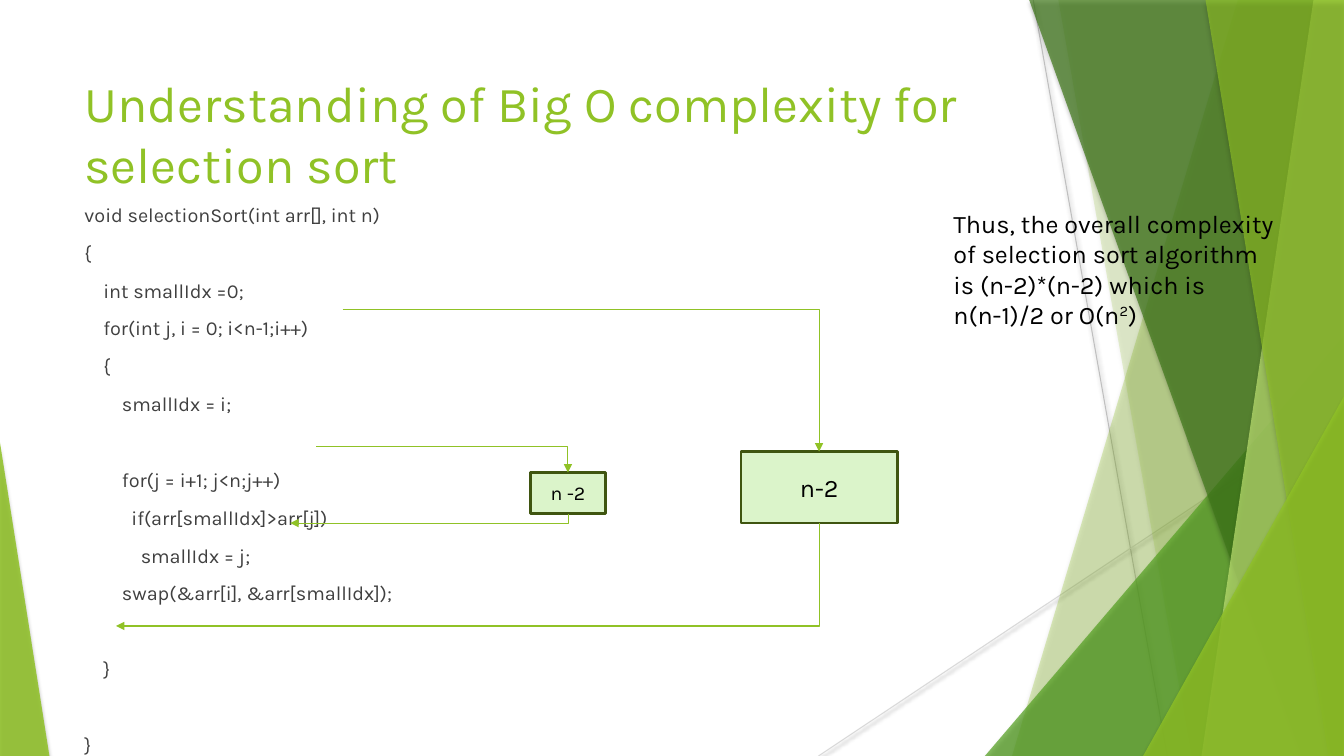
from lxml.etree import SubElement
from pptx import Presentation
from pptx.dml.color import RGBColor
from pptx.enum.shapes import MSO_CONNECTOR, MSO_SHAPE
from pptx.enum.text import MSO_ANCHOR, PP_ALIGN
from pptx.oxml.ns import qn
from pptx.util import Inches, Pt

COLORS = {k: RGBColor.from_string(v) for k, v in {
    "lime": "90C226", "green": "54A021", "forest": "3F7819", "pale": "C0E474",
    "box": "DBF4CA", "edge": "3F5510", "text": "404040", "black": "000000",
    "grey": "BFBFBF", "silver": "D9D9D9"}.items()}

prs = Presentation()
prs.slide_width, prs.slide_height = Inches(13.333), Inches(7.5)
COL, ROW = prs.slide_width / 100, prs.slide_height / 100
slide = prs.slides.add_slide(prs.slide_layouts[6])
shapes = slide.shapes


def grid(*lengths):
    """Turn alternating x, y percentages of the slide into EMU."""
    return [round(n * (ROW if i % 2 else COL)) for i, n in enumerate(lengths)]


def set_effect(sp, blur=0, dist=0, alpha=0):
    """Replace the theme shadow with a downward one, or with none."""
    effects = SubElement(sp._element.spPr, qn("a:effectLst"))
    if alpha:
        shadow = SubElement(effects, qn("a:outerShdw"), blurRad=str(Pt(blur)),
                            dist=str(Pt(dist)), dir="5400000", rotWithShape="0")
        color = SubElement(shadow, qn("a:srgbClr"), val="000000")
        SubElement(color, qn("a:alpha"), val=str(alpha * 1000))


# Background rays
for color, *ends in [("grey", 76.88, 0, 86.85, 100),
                     ("silver", 100, 53.73, 60.9, 100)]:
    ray = shapes.add_connector(MSO_CONNECTOR.STRAIGHT, *grid(*ends))
    ray.line.color.rgb = COLORS[color]
    ray.line.width = Pt(0.75)
    set_effect(ray, 3.1, 1.6, 38)

# Facets: colour, opacity, base left, base right, peak x, peak y
FACETS = [("lime", 30, 75.3, 100, 92.1, 0),
          ("lime", 20, 88.65, 100, 78.75, 0),
          ("green", 72, 73.28, 100, 100, 44.4),
          ("forest", 70, 96.83, 100, 76.58, 0),
          ("pale", 70, 89.4, 100, 97.73, 0),
          ("lime", 65, 98.85, 100, 89.7, 0),
          ("lime", 80, 85.05, 100, 100, 52.4),
          ("lime", 85, 0, 3.68, 0, 58.53)]
for color, opacity, left, right, peak_x, peak_y in FACETS:
    if peak_y:
        sp = shapes.add_shape(MSO_SHAPE.ISOSCELES_TRIANGLE,
                              *grid(left, peak_y, right - left, 100 - peak_y))
        sp.adjustments[0] = (peak_x - left) / (right - left)
    else:
        outline = shapes.build_freeform(*grid(peak_x, 0))
        outline.add_line_segments(
            [grid(right, 0), grid(right, 100), grid(left, 100)], close=True)
        sp = outline.convert_to_shape()
    sp.fill.solid()
    sp.fill.fore_color.rgb = COLORS[color]
    SubElement(sp.fill._xPr.find(f".//{qn('a:srgbClr')}"), qn("a:alpha"),
               val=str(opacity * 1000))
    sp.line.fill.background()
    set_effect(sp, 3, 2, 35)

# Code lines: spaces of indent, blank lines before, text
CODE = [(0, 0, "void selectionSort(int arr[], int n)"),
        (0, 0, "{"),
        (4, 0, "int smallIdx =0;"),
        (4, 0, "for(int j, i = 0; i<n-1;i++)"),
        (4, 0, "{"),
        (8, 0, "smallIdx = i;"),
        (8, 1, "for(j = i+1; j<n;j++)"),
        (10, 0, "if(arr[smallIdx]>arr[j])"),
        (12, 0, "smallIdx = j;"),
        (8, 0, "swap(&arr[i], &arr[smallIdx]);"),
        (4, 1, "}"),
        (0, 1, "}")]
TITLE = "Understanding of Big O complexity for selection sort"
NOTE = ("Thus, the overall complexity of selection sort algorithm is "
        "(n-2)*(n-2) which is n(n-1)/2 or O(n")

TEXTS = [((5.55, 8.93, 70.5, 19.2), TITLE, 36, "lime"),
         ((5.55, 26.13, 63.68, 69.33), "\n".join(c[2] for c in CODE), 14.2, "text"),
         ((70.2, 26.93, 25.8, 21.33), NOTE, 18, "black")]
frames = []
for place, text, size, color in TEXTS:
    tf = shapes.add_textbox(*grid(*place)).text_frame
    tf.word_wrap = True
    tf.text = text
    frames.append(tf)
    if text == NOTE:
        for part in ("2", ")"):
            tf.paragraphs[0].add_run().text = part
        tf.paragraphs[0].runs[1]._r.get_or_add_rPr().set("baseline", "30000")
    for p in tf.paragraphs:
        for r in p.runs:
            r.font.name, r.font.size = "Karla", Pt(size)
            r.font.color.rgb = COLORS[color]

LINE_PITCH, SPACE_WIDTH = Pt(27), Pt(3.35)
for p, (indent, blanks, _) in zip(frames[1].paragraphs, CODE):
    p.space_before = Pt(10) + blanks * LINE_PITCH
    p._p.get_or_add_pPr().set("marL", str(indent * SPACE_WIDTH))

# Loop counts: label, size, box, loop start, loop end
LOOPS = [("n -2", 14, (39.45, 62.5, 5.63, 5.47), (23.55, 59.07), (21.6, 69.2)),
         ("n-2", 18, (55.13, 59.73, 11.63, 9.47), (25.5, 40.93), (8.63, 82.8))]
for label, size, place, start, end in LOOPS:
    sp = shapes.add_shape(MSO_SHAPE.RECTANGLE, *grid(*place))
    sp.fill.solid()
    sp.fill.fore_color.rgb = COLORS["box"]
    sp.line.color.rgb = COLORS["edge"]
    sp.line.width = Pt(2)
    sp.shadow.inherit = False
    tf = sp.text_frame
    tf.text = label
    tf.vertical_anchor = MSO_ANCHOR.MIDDLE
    p = tf.paragraphs[0]
    p.alignment = PP_ALIGN.CENTER
    r = p.runs[0]
    r.font.name, r.font.size = "Karla", Pt(size)
    r.font.color.rgb = COLORS["black"]

    left, top, width, height = place
    middle = left + width / 2
    x1, y1, x2, y2 = grid(*end, middle, top + height)
    across, down = x2 - x1, y1 - y2
    # The way back is a right-then-down elbow turned by a quarter
    turned_x, turned_y = (x1 + x2 - down) // 2, (y1 + y2 - across) // 2
    for ends, turn in [(grid(*start, middle, top), 0),
                       ((turned_x, turned_y, turned_x + down, turned_y + across), 90)]:
        arrow = shapes.add_connector(MSO_CONNECTOR.ELBOW, *ends)
        spPr = arrow._element.spPr
        spPr.find(qn("a:prstGeom")).set("prst", "bentConnector2")
        if turn:
            spPr.find(qn("a:xfrm")).set("rot", str(turn * 60000))
        arrow.line.color.rgb = COLORS["lime"]
        arrow.line.width = Pt(0.75)
        SubElement(spPr.find(qn("a:ln")), qn("a:tailEnd"), type="triangle")
        set_effect(arrow)

prs.save("out.pptx")
